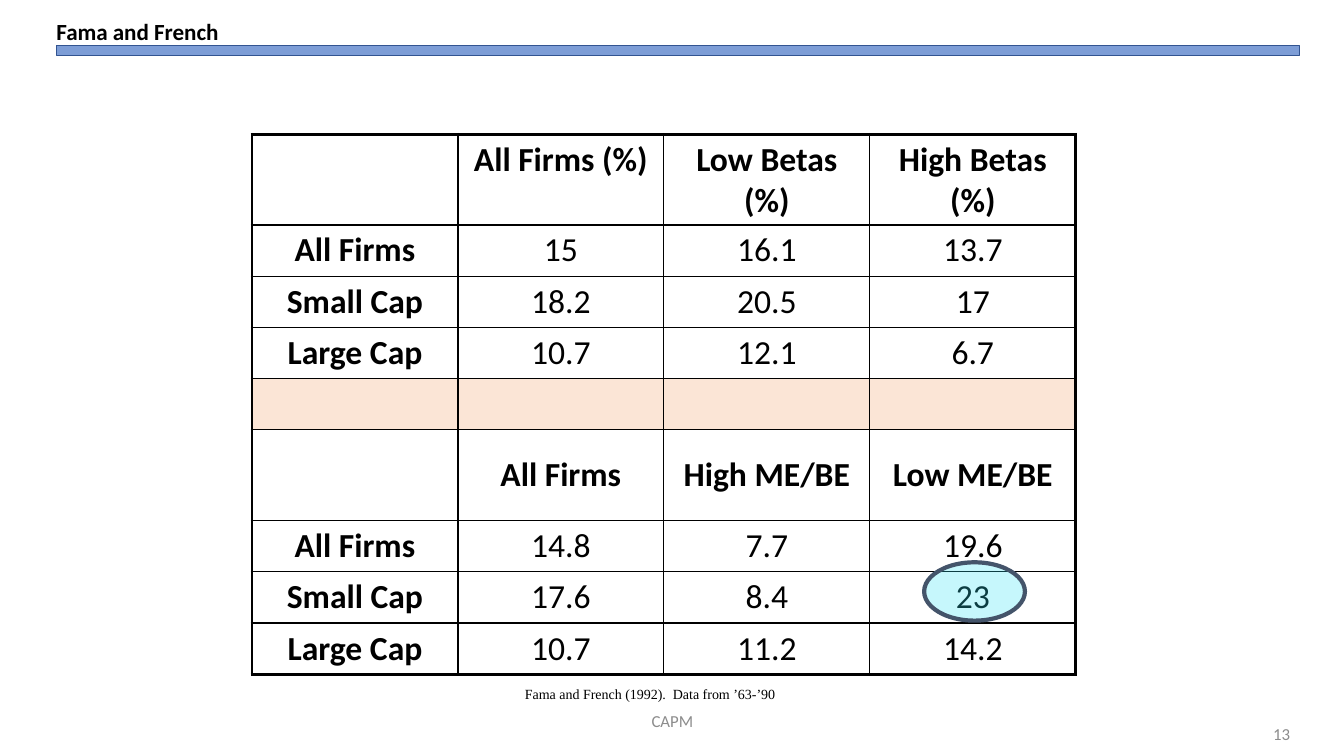
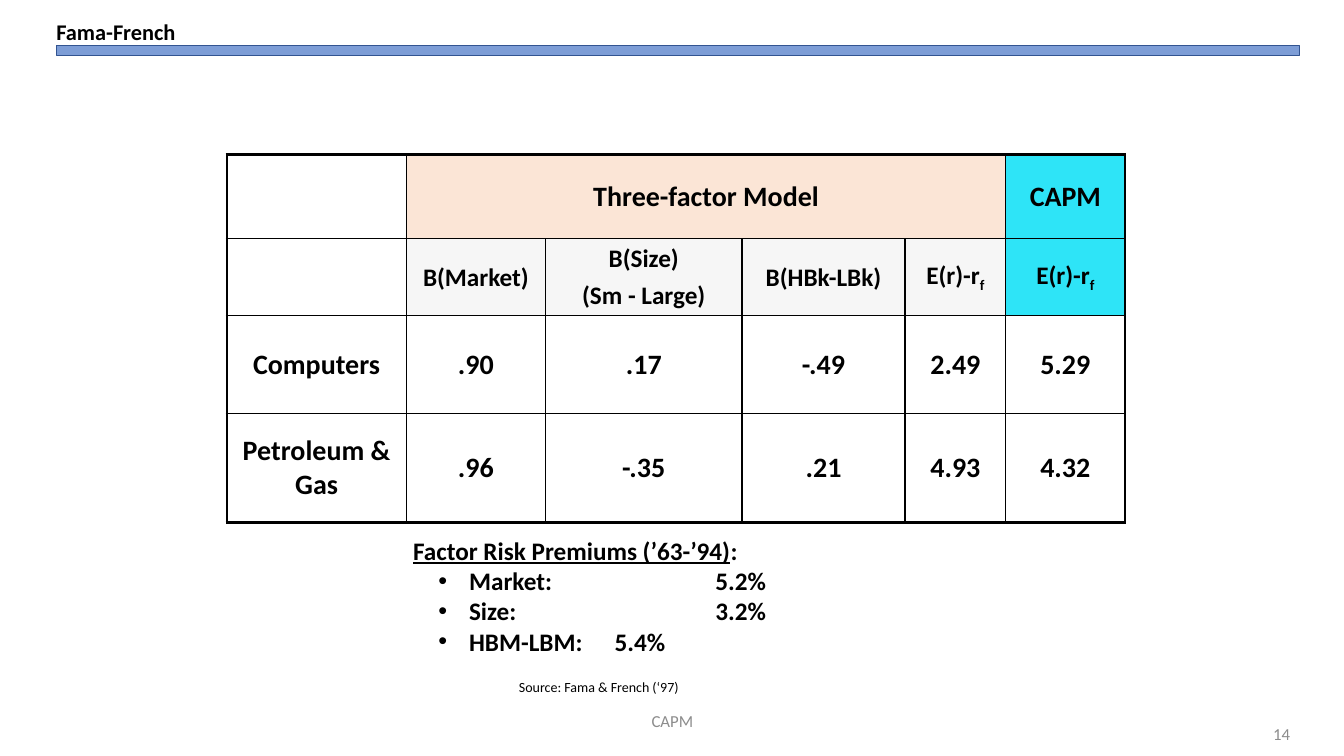
from dataclasses import dataclass
from itertools import product

from lxml.etree import SubElement
from pptx import Presentation
from pptx.dml.color import RGBColor
from pptx.enum.shapes import MSO_SHAPE as Shape
from pptx.enum.text import MSO_ANCHOR as Anchor, PP_ALIGN as Align
from pptx.oxml.ns import qn
from pptx.util import Cm, Pt


@dataclass(frozen=True)
class Theme:
    font: str = "Calibri"
    serif: str = "Times New Roman"
    ink: str = "000000"
    grey: str = "8C8C8C"
    band: str = "4472C4"
    band_line: str = "325491"
    peach: str = "FBE5D6"
    pale: str = "F6F6F6"
    cyan: str = "2EE4F7"
    slate: str = "44546A"
    table_large: float = 24
    table_medium: float = 20
    body: float = 18
    footer: float = 12
    source: float = 10
    inner_line: float = 1
    outer_line: float = 2.25


THEME = Theme()


@dataclass(frozen=True)
class CellStyle:
    size: float
    bold: bool = True
    anchor: Anchor = Anchor.MIDDLE
    fill: str = ""


def color(value):
    return RGBColor.from_string(value)


def set_font(font, size, bold=False, ink=THEME.ink, name=THEME.font):
    font.name, font.size, font.bold = name, Pt(size), bold
    font.color.rgb = color(ink)


def add_text(page, text, left, top, width, height, size, align=Align.LEFT,
             anchor=Anchor.TOP, **font_options):
    box = page.shapes.add_textbox(Cm(left), Cm(top), Cm(width), Cm(height))
    frame = box.text_frame
    frame.word_wrap, frame.vertical_anchor = True, anchor
    para = frame.paragraphs[0]
    para.text, para.alignment = text, align
    set_font(para.font, size, **font_options)
    return frame


def add_tinted_shape(page, kind, left, top, width, height, fill, opacity,
                     line, line_width):
    """Add a shape whose fill lets the content below show through."""
    shape = page.shapes.add_shape(kind, Cm(left), Cm(top), Cm(width), Cm(height))
    shape.shadow.inherit = False
    shape.fill.solid()
    shape.fill.fore_color.rgb = color(fill)
    tint = shape.fill._xPr.find(qn("a:solidFill"))[0]
    SubElement(tint, qn("a:alpha"), val=str(opacity * 1000))
    shape.line.color.rgb = color(line)
    shape.line.width = Pt(line_width)


def add_page(deck, title, title_size, number):
    """Add a slide with the shared title, band and footer."""
    page = deck.slides.add_slide(deck.slide_layouts[5])
    add_tinted_shape(page, Shape.RECTANGLE, 1.42, 1.14, 31.32, 0.25,
                     THEME.band, 69, THEME.band_line, 0.5)
    heading = page.shapes.title
    heading.left, heading.top = Cm(1.42), Cm(0.13)
    heading.width, heading.height = Cm(31.32), Cm(1.02)
    frame = heading.text_frame
    frame.margin_left = frame.margin_right = 0
    frame.margin_top = frame.margin_bottom = 0
    frame.vertical_anchor = Anchor.BOTTOM
    para = frame.paragraphs[0]
    para.text, para.alignment, para.line_spacing = title, Align.LEFT, 0.9
    set_font(para.font, title_size, bold=True)
    add_text(page, "CAPM", 11.23, 17.65, 11.43, 1.02, THEME.footer,
             Align.CENTER, Anchor.MIDDLE, ink=THEME.grey)
    add_text(page, str(number), 31.06, 17.98, 1.7, 1.02, THEME.footer,
             Align.RIGHT, Anchor.MIDDLE, ink=THEME.grey)
    return page


def set_borders(cell, outer_sides):
    properties = cell._tc.get_or_add_tcPr()
    for side in "LRTB":
        width = THEME.outer_line if side in outer_sides else THEME.inner_line
        line = SubElement(properties, qn(f"a:ln{side}"), w=str(Pt(width)))
        fill = SubElement(line, qn("a:solidFill"))
        SubElement(fill, qn("a:srgbClr"), val=THEME.ink)


def fill_cell(cell, text, style):
    """Write the lines of a cell; an underscore starts a subscript."""
    cell.vertical_anchor = style.anchor
    if style.fill:
        cell.fill.solid()
        cell.fill.fore_color.rgb = color(style.fill)
    else:
        cell.fill.background()
    for index, line in enumerate(text.split("\n")):
        frame = cell.text_frame
        para = frame.add_paragraph() if index else frame.paragraphs[0]
        if index:
            para.space_before = Pt(4)
        para.alignment = Align.CENTER
        set_font(para.font, style.size, style.bold)
        base, _, subscript = line.partition("_")
        if base:
            para.add_run().text = base
        if subscript:
            span = para.add_run()
            span.text = subscript
            span._r.get_or_add_rPr().set("baseline", "-25000")


def add_grid(page, left, top, widths, heights, rows, style_of):
    """Add a table; style_of(row, column) gives each cell its style."""
    frame = page.shapes.add_table(len(heights), len(widths), Cm(left), Cm(top),
                                  Cm(sum(widths)), Cm(sum(heights)))
    table = frame.table
    table.first_row = table.horz_banding = False
    for column, width in zip(table.columns, widths):
        column.width = Cm(width)
    for row, height in zip(table.rows, heights):
        row.height = Cm(height)
    last_row, last_column = len(heights) - 1, len(widths) - 1
    for row, column in product(range(len(heights)), range(len(widths))):
        edges = {"L": column == 0, "R": column == last_column,
                 "T": row == 0, "B": row == last_row}
        cell = table.cell(row, column)
        set_borders(cell, [side for side, outer in edges.items() if outer])
        fill_cell(cell, rows[row][column], style_of(row, column))
    return table


def add_premiums(page, heading, items):
    frame = add_text(page, "", 10.16, 13.36, 13.97, 4.06, THEME.body, bold=True)
    underlined, colon = (frame.paragraphs[0].add_run() for _ in range(2))
    underlined.text, colon.text = heading, ":"
    underlined.font.underline = True
    for item in items:
        para = frame.add_paragraph()
        para.text = item
        properties = para._p.get_or_add_pPr()
        for name, length in (("marL", 1.27), ("indent", -0.63), ("defTabSz", 2.54)):
            properties.set(name, str(Cm(length)))
        SubElement(properties, qn("a:buFont"), typeface="Arial")
        SubElement(properties, qn("a:buChar"), char="•")
        set_font(para.font, THEME.body, bold=True)


def build_returns(deck):
    page = add_page(deck, "Fama and French", 16.5, 13)
    rows = [
        ["", "All Firms (%)", "Low Betas (%)", "High Betas (%)"],
        ["All Firms", "15", "16.1", "13.7"],
        ["Small Cap", "18.2", "20.5", "17"],
        ["Large Cap", "10.7", "12.1", "6.7"],
        [""] * 4,
        ["", "All Firms", "High ME/BE", "Low ME/BE"],
        ["All Firms", "14.8", "7.7", "19.6"],
        ["Small Cap", "17.6", "8.4", "23"],
        ["Large Cap", "10.7", "11.2", "14.2"],
    ]
    header_rows, divider_row = (0, 5), 4

    def style_of(row, column):
        return CellStyle(
            THEME.table_large,
            bold=row in header_rows or column == 0,
            anchor=Anchor.MIDDLE if row == header_rows[1] else Anchor.TOP,
            fill=THEME.peach if row == divider_row else "")

    heights = [2.29 if row in header_rows else 1.29 for row in range(len(rows))]
    add_grid(page, 6.35, 3.38, [5.19] * 4, heights, rows, style_of)
    add_text(page, "Fama and French (1992).  Data from ’63-’90",
             12.98, 17.15, 8, 0.69, THEME.source, name=THEME.serif)
    add_tinted_shape(page, Shape.OVAL, 23.29, 14.17, 2.54, 1.47,
                     THEME.cyan, 27, THEME.slate, 3)


def build_factors(deck):
    page = add_page(deck, "Fama-French", 16, 14)
    rows = [
        ["", "Three-factor Model", "", "", "", "CAPM"],
        ["", "B(Market)", "B(Size)\n(Sm - Large)", "B(HBk-LBk)",
         "E(r)-r_f", "E(r)-r_f"],
        ["Computers", ".90", ".17", "-.49", "2.49", "5.29"],
        ["Petroleum & Gas", ".96", "-.35", ".21", "4.93", "4.32"],
    ]
    capm_column = 5

    def style_of(row, column):
        fill = ""
        if row < 2 and column:
            model_fill = (THEME.peach, THEME.pale)[row]
            fill = THEME.cyan if column == capm_column else model_fill
        return CellStyle(THEME.body if row == 1 else THEME.table_medium, fill=fill)

    table = add_grid(page, 5.72, 3.89, [4.52, 3.51, 4.95, 4.11, 2.54, 3],
                     [2.13, 1.94, 2.46, 2.75], rows, style_of)
    table.cell(0, 1).merge(table.cell(0, capm_column - 1))
    add_premiums(page, "Factor Risk Premiums (’63-’94)",
                 [" Market: \t\t5.2%", " Size: \t\t3.2%", " HBM-LBM: \t5.4%"])
    add_text(page, "Source: Fama & French (‘97)", 12.83, 16.97, 6, 0.69,
             THEME.source)


def main():
    deck = Presentation()
    deck.slide_width, deck.slide_height = Cm(33.87), Cm(19.05)
    build_returns(deck)
    build_factors(deck)
    deck.save("out.pptx")


if __name__ == "__main__":
    main()
